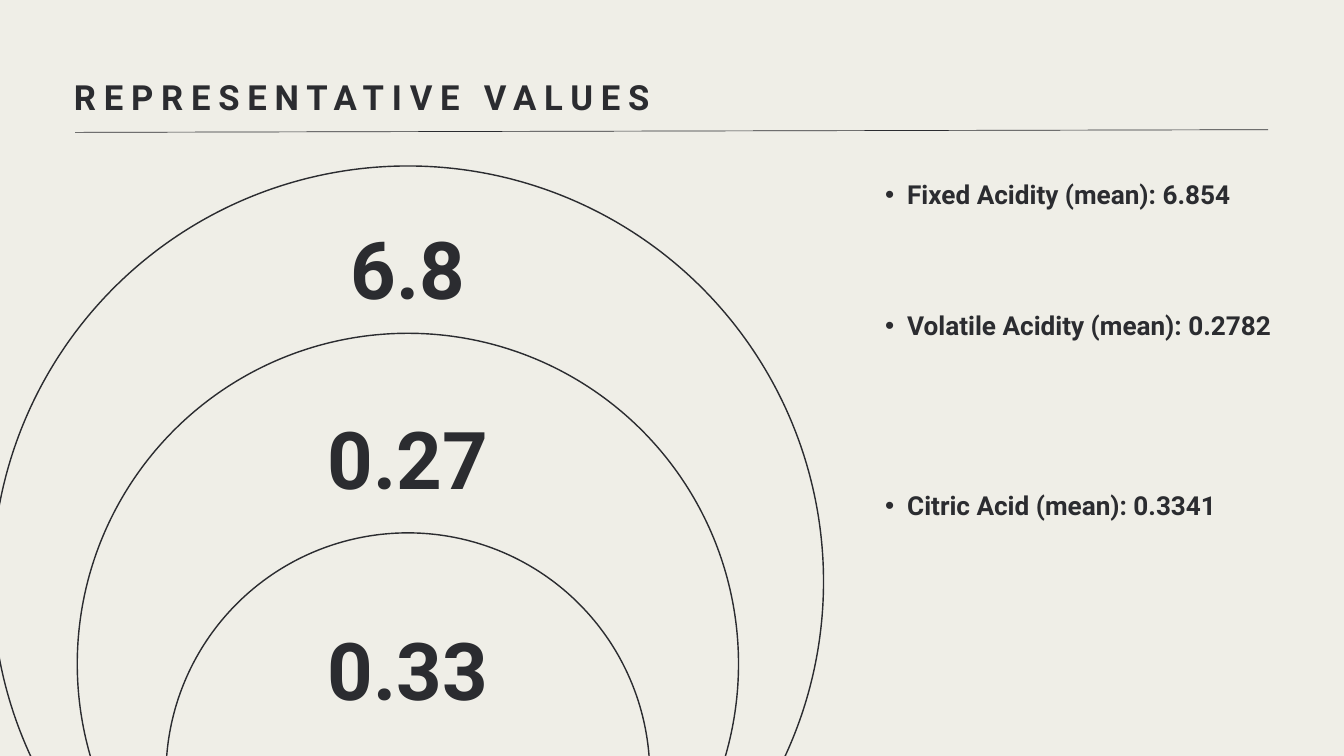
"""Builds the slide of representative acidity values with nested circles."""
from dataclasses import dataclass

from lxml.etree import SubElement
from pptx import Presentation
from pptx.dml.color import RGBColor
from pptx.enum.shapes import MSO_CONNECTOR, MSO_SHAPE
from pptx.enum.text import MSO_ANCHOR, MSO_AUTO_SIZE, PP_ALIGN
from pptx.oxml.ns import qn
from pptx.util import Inches, Pt


@dataclass(frozen=True)
class Theme:
    paper: RGBColor = RGBColor.from_string("EFEEE7")
    ink: RGBColor = RGBColor.from_string("2B2C30")
    font: str = "Roboto"
    title: float = 37.1
    figure: float = 85.4
    body: float = 28


THEME = Theme()
WIDTH, HEIGHT = 20, 11.25
TITLE = "REPRESENTATIVE VALUES"
CENTER_X = 6.07
RULE = (1.12, 1.97, 18.87, 1.93)
MEASURES = [
    {"figure": "6.8", "label": "Fixed Acidity (mean): 6.854",
     "circle_top": 2.47, "diameter": 12.37, "figure_top": 2.8, "label_top": 2.58},
    {"figure": "0.27", "label": "Volatile Acidity (mean): 0.2782",
     "circle_top": 4.96, "diameter": 9.84, "figure_top": 5.62, "label_top": 4.53},
    {"figure": "0.33", "label": "Citric Acid (mean): 0.3341",
     "circle_top": 7.93, "diameter": 7.2, "figure_top": 8.76, "label_top": 7.21},
]


def box(*lengths):
    return [Inches(n) for n in lengths]


def write(sp, text, size, leading, align=PP_ALIGN.LEFT):
    tf = sp.text_frame
    tf.word_wrap = True
    tf.auto_size = MSO_AUTO_SIZE.NONE
    tf.vertical_anchor = MSO_ANCHOR.TOP
    tf.margin_left = tf.margin_right = tf.margin_top = tf.margin_bottom = 0
    p = tf.paragraphs[0]
    p.alignment = align
    p.line_spacing = Pt(leading)
    r = p.add_run()
    r.text = text
    r.font.name, r.font.size, r.font.bold = THEME.font, Pt(size), True
    r.font.color.rgb = THEME.ink
    return p


def add_title(s):
    sp = s.shapes.title
    sp.left, sp.top, sp.width, sp.height = box(1.1, 1.03, 17.75, 0.71)
    p = write(sp, TITLE, THEME.title, 52)
    p.runs[0].font._element.set("spc", "840")


def add_rule(s):
    line = s.shapes.add_connector(MSO_CONNECTOR.STRAIGHT, *box(*RULE))
    line.line.color.rgb, line.line.width = THEME.ink, Pt(0.75)
    SubElement(line._element.spPr, qn("a:effectLst"))


def add_circle(s, top, diameter):
    left = CENTER_X - diameter / 2
    sp = s.shapes.add_shape(MSO_SHAPE.OVAL, *box(left, top, diameter, diameter))
    sp.shadow.inherit = False
    sp.fill.background()
    sp.line.color.rgb, sp.line.width = THEME.ink, Pt(1.5)


def add_figure(s, text, top, width=5.6):
    sp = s.shapes.add_textbox(*box(CENTER_X - width / 2, top, width, 1.77))
    write(sp, text, THEME.figure, 136.6, PP_ALIGN.CENTER)


def add_label(s, text, top):
    sp = s.shapes.add_textbox(*box(12.84, top, 6.62, 1.06))
    p = write(sp, text, THEME.body, 39.2)
    p.level = 1
    pPr = p._p.get_or_add_pPr()
    pPr.set("marL", str(Inches(0.66)))
    pPr.set("indent", str(Inches(-0.33)))
    SubElement(pPr, qn("a:buFont"), typeface="Arial")
    SubElement(pPr, qn("a:buChar"), char="•")


def main():
    prs = Presentation()
    prs.slide_width, prs.slide_height = box(WIDTH, HEIGHT)
    s = prs.slides.add_slide(prs.slide_layouts[5])
    s.background.fill.solid()
    s.background.fill.fore_color.rgb = THEME.paper
    add_title(s)
    add_rule(s)
    for m in MEASURES:
        add_circle(s, m["circle_top"], m["diameter"])
    for m in MEASURES:
        add_figure(s, m["figure"], m["figure_top"])
        add_label(s, m["label"], m["label_top"])
    prs.save("out.pptx")


if __name__ == "__main__":
    main()
